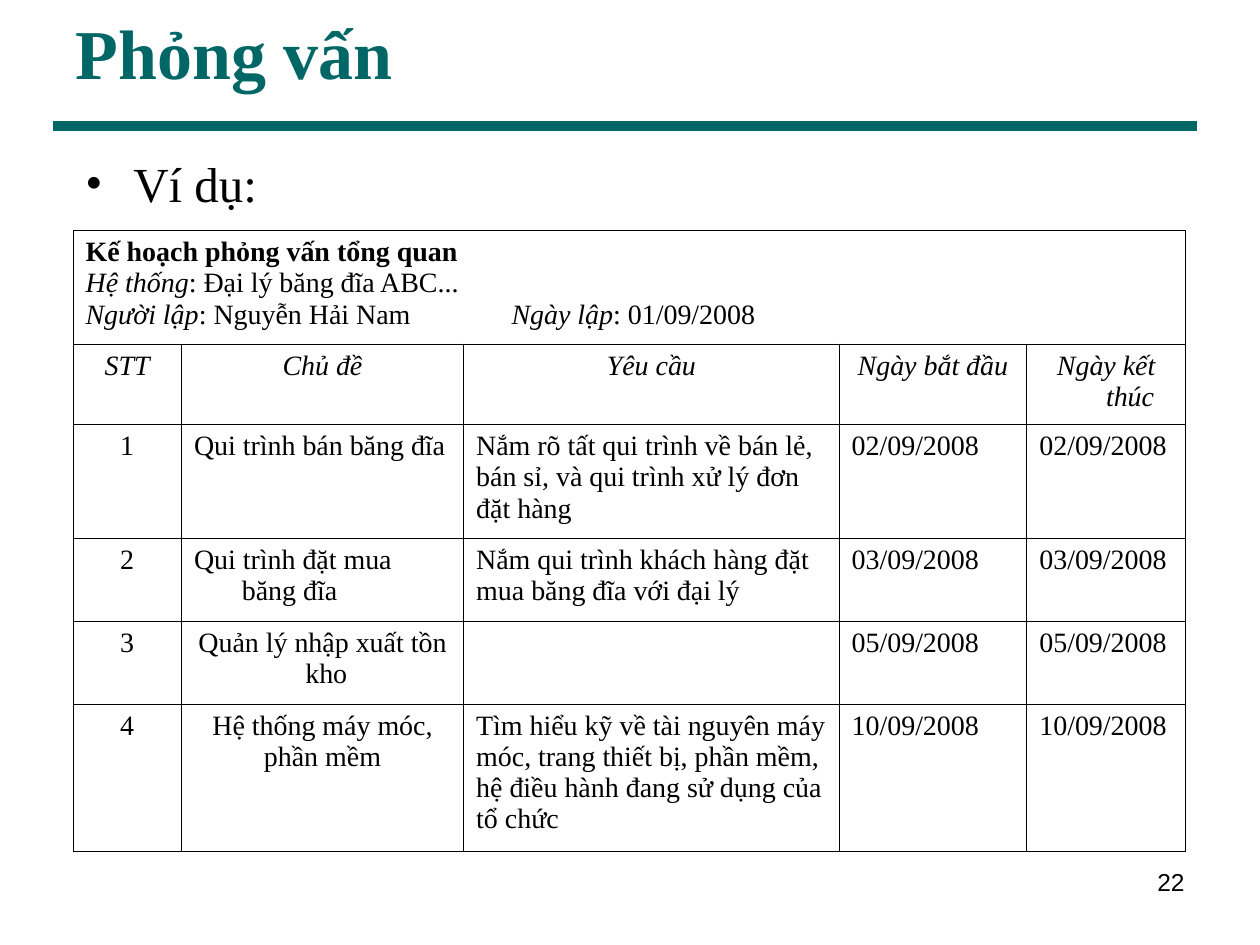
import dataclasses

import lxml.etree
import pptx
import pptx.dml.color
import pptx.enum.shapes
import pptx.enum.text
import pptx.oxml.ns
import pptx.util

Inches = pptx.util.Inches
Pt = pptx.util.Pt
ALIGN = pptx.enum.text.PP_ALIGN
qn = pptx.oxml.ns.qn


@dataclasses.dataclass(frozen=True)
class Theme:
    teal: str = "006666"
    black: str = "000000"
    serif: str = "Times New Roman"
    sans: str = "Arial"
    title: int = 40
    body: int = 28
    cell: int = 16
    number: int = 14
    rule: float = 6
    border: float = 0.45


THEME = Theme()
HANG = 0.38

PLAN = [
    [("Kế hoạch phỏng vấn tổng quan", "b")],
    [("Hệ thống", "i"), (": Đại lý băng đĩa ABC...", "")],
    [("Người lập", "i"), (": Nguyễn Hải Nam\t\t", ""),
     ("Ngày lập", "i"), (": 01/09/2008", "")],
]
HEADS = ["STT", "Chủ đề", "Yêu cầu", "Ngày bắt đầu", "Ngày kết thúc"]
# Topic, its alignment and hanging indent, request, date (start and end alike)
TOPICS = [
    ("Qui trình bán băng đĩa", ALIGN.LEFT, HANG,
     "Nắm rõ tất qui trình về bán lẻ, bán sỉ, và qui trình xử lý đơn đặt hàng",
     "02/09/2008"),
    ("Qui trình đặt mua băng đĩa", ALIGN.LEFT, HANG,
     "Nắm qui trình khách hàng đặt mua băng đĩa với đại lý", "03/09/2008"),
    ("Quản lý nhập xuất tồn kho", ALIGN.CENTER, 0.06, "", "05/09/2008"),
    ("Hệ thống máy móc, phần mềm", ALIGN.CENTER, 0,
     "Tìm hiểu kỹ về tài nguyên máy móc, trang thiết bị, phần mềm, "
     "hệ điều hành đang sử dụng của tổ chức", "10/09/2008"),
]
COLS = [0.86, 2.24, 2.98, 1.49, 1.26]
ROWS = [0.9, 0.64, 0.9, 0.66, 0.66, 1.17]


def color(code):
    return pptx.dml.color.RGBColor.from_string(code)


def write(frame, lines, size=THEME.cell, font=THEME.serif, ink=THEME.black,
          align=ALIGN.LEFT, hang=0, bullet=None, tabs=()):
    """Fill a frame with lines, each a string or a list of (text, style) runs."""
    frame.word_wrap = True
    for index, line in enumerate(lines):
        para = frame.paragraphs[0] if index == 0 else frame.add_paragraph()
        para.alignment = align
        props = para._p.get_or_add_pPr()
        props.set("marL", str(Inches(hang)))
        props.set("indent", str(-Inches(hang)))
        if bullet:
            lines_font = lxml.etree.SubElement(props, qn("a:buFont"))
            lines_font.set("typeface", font)
            lxml.etree.SubElement(props, qn("a:buChar")).set("char", bullet)
        if tabs:
            stops = lxml.etree.SubElement(props, qn("a:tabLst"))
            for stop in tabs:
                lxml.etree.SubElement(stops, qn("a:tab"),
                                      pos=str(Inches(stop)), algn="l")
        for text, style in [(line, "")] if isinstance(line, str) else line:
            run = para.add_run()
            run.text = text
            run.font.size = Pt(size)
            run.font.name = font
            run.font.bold = "b" in style
            run.font.italic = "i" in style
            run.font.color.rgb = color(ink)


def place(shape, box):
    shape.left, shape.top, shape.width, shape.height = map(Inches, box)


def add_title(slide, box, text):
    title = slide.shapes.title
    place(title, box)
    frame = title.text_frame
    frame.auto_size = pptx.enum.text.MSO_AUTO_SIZE.NONE
    frame.vertical_anchor = pptx.enum.text.MSO_ANCHOR.MIDDLE
    write(frame, [[(text, "b")]], size=THEME.title, ink=THEME.teal)


def add_rule(slide, box):
    left, top, width, height = box
    rule = slide.shapes.add_connector(
        pptx.enum.shapes.MSO_CONNECTOR.STRAIGHT, Inches(left), Inches(top),
        Inches(left + width), Inches(top + height))
    rule.line.color.rgb = color(THEME.teal)
    rule.line.width = Pt(THEME.rule)
    lxml.etree.SubElement(rule._element.spPr, qn("a:effectLst"))


def add_text(slide, box, text, **form):
    shape = slide.shapes.add_textbox(*map(Inches, box))
    write(shape.text_frame, [text], **form)


def frame_cell(cell):
    """Clear the fill and draw a thin border on all four sides."""
    cell.fill.background()
    props = cell._tc.get_or_add_tcPr()
    for index, side in enumerate(("a:lnL", "a:lnR", "a:lnT", "a:lnB")):
        line = lxml.etree.Element(qn(side), w=str(Pt(THEME.border)))
        fill = lxml.etree.SubElement(line, qn("a:solidFill"))
        lxml.etree.SubElement(fill, qn("a:srgbClr"), val=THEME.black)
        props.insert(index, line)


def add_plan(slide, box):
    table = slide.shapes.add_table(len(ROWS), len(COLS),
                                   *map(Inches, box)).table
    table.first_row = table.horz_banding = False
    for col, width in zip(table.columns, COLS):
        col.width = Inches(width)
    for row, height in zip(table.rows, ROWS):
        row.height = Inches(height)
    for cell in table.iter_cells():
        cell.margin_left = cell.margin_right = Inches(0.1)
        cell.margin_top = cell.margin_bottom = Inches(0.05)
        frame_cell(cell)

    top = table.cell(0, 0)
    top.merge(table.cell(0, len(COLS) - 1))
    write(top.text_frame, PLAN, hang=HANG, tabs=(3, 4))
    for col, head in enumerate(HEADS):
        write(table.cell(1, col).text_frame, [[(head, "i")]],
              align=ALIGN.CENTER, hang=HANG)
    for number, (topic, align, hang, need, date) in enumerate(TOPICS, 1):
        cells = [(str(number), ALIGN.CENTER, HANG), (topic, align, hang),
                 (need, ALIGN.LEFT, 0)] + [(date, ALIGN.LEFT, HANG)] * 2
        for col, (text, side, inset) in enumerate(cells):
            if text:
                write(table.cell(number + 1, col).text_frame, [text],
                      align=side, hang=inset)


def main():
    deck = pptx.Presentation()
    deck.slide_width, deck.slide_height = Inches(10), Inches(7.5)
    slide = deck.slides.add_slide(deck.slide_layouts.get_by_name("Title Only"))
    add_rule(slide, (0.42, 1, 9.08, 0))
    add_title(slide, (0.5, 0.3, 9, 0.21), "Phỏng vấn")
    add_text(slide, (0.58, 1.17, 4.42, 0.58), "Ví dụ:",
             size=THEME.body, hang=HANG, bullet="•")
    add_plan(slide, (0.58, 1.83, sum(COLS), sum(ROWS)))
    add_text(slide, (7.17, 6.83, 2.33, 0.52), "22", size=THEME.number,
             font=THEME.sans, align=ALIGN.RIGHT)
    deck.save("out.pptx")


if __name__ == "__main__":
    main()
